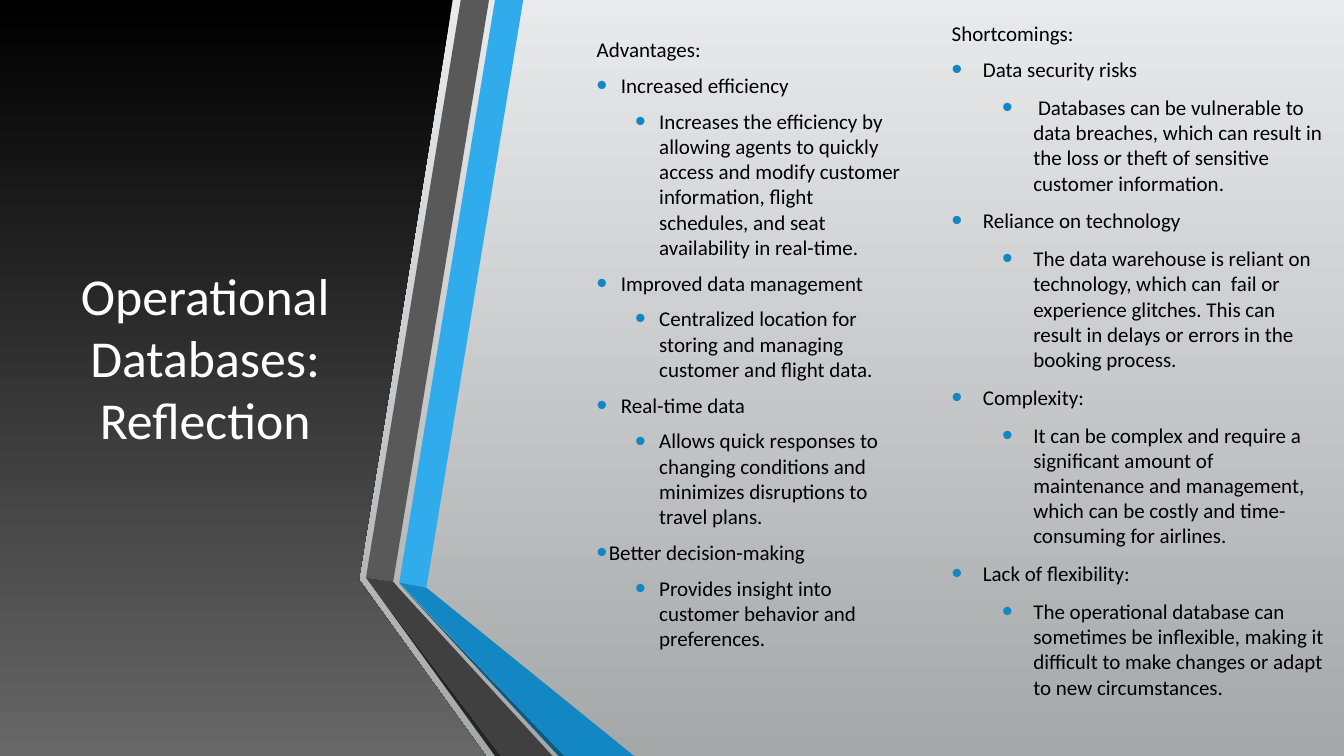
from dataclasses import dataclass

from lxml import etree
from pptx import Presentation
from pptx import util as u
from pptx.dml.color import RGBColor
from pptx.dml.fill import FillFormat
from pptx.enum import text
from pptx.oxml import ns
from pptx.slide import Slide
from pptx.text.text import TextFrame

Point = tuple[float, float]


@dataclass(frozen=True)
class Theme:
    font: str = "Calibri"
    title_size: float = 37
    body_size: float = 15
    title_color: str = "FFFFFF"
    body_color: str = "000000"
    bullet_color: str = "1287C3"
    bullet_percent: int = 145
    background: tuple[str, str] = ("E9EAEB", "A5A8A9")
    panel: tuple[str, str] = ("000000", "676767")
    blue: str = "30ACEC"
    blue_fold: str = "1287C3"
    blue_shade: str = "0C5A82"
    gray: str = "595959"
    gray_fold: str = "404040"
    gray_shade: str = "262626"


THEME = Theme()


@dataclass(frozen=True)
class Box:
    left: float
    top: float
    width: float
    height: float
    inset_top: float = 0.05
    inset_bottom: float = 0.05


@dataclass(frozen=True)
class Band:
    color: str
    points: list[Point]


@dataclass(frozen=True)
class Topic:
    heading: str
    detail: str
    margin: float | None = None


@dataclass(frozen=True)
class Column:
    box: Box
    title: str
    title_spacing: float
    hanging: float
    detail_margin: float
    space_after: float
    topics: list[Topic]


TITLE_BOX = Box(0.59, 0.75, 2.89, 5.58)
PANEL = [(0, 0), (4.49, 0), (3.56, 5.75), (4.82, 7.5), (0, 7.5)]
BANDS = [
    Band(THEME.blue, [(3.96, 5.78), (4.23, 5.83), (5.19, 0), (4.91, 0)]),
    Band(THEME.gray, [(4.85, 0), (4.57, 0), (3.63, 5.73), (3.9, 5.77)]),
    Band(THEME.gray_shade, [(3.63, 5.73), (4.91, 7.5), (4.97, 7.5)]),
    Band(THEME.blue_shade, [(3.96, 5.79), (5.54, 7.5), (5.6, 7.5)]),
    Band(THEME.blue_fold, [(3.96, 5.78), (5.6, 7.5), (6.29, 7.5), (4.23, 5.83)]),
    Band(THEME.gray_fold, [(5.48, 7.5), (3.95, 5.83), (3.9, 5.77), (3.63, 5.73), (4.97, 7.5)]),
]
COLUMNS = [
    Column(Box(5.82, 0.22, 3.24, 6.38), "Advantages:", 1.0, 0.24, 0.62, 4.6, [
        Topic("Increased efficiency",
              "Increases the efficiency by allowing agents to quickly access and modify customer "
              "information, flight schedules, and seat availability in real-time."),
        Topic("Improved data management",
              "Centralized location for storing and managing customer and flight data."),
        Topic("Real-time data",
              "Allows quick responses to changing conditions and minimizes disruptions to "
              "travel plans."),
        Topic("Better decision-making",
              "Provides insight into customer behavior and preferences.", margin=0.12),
    ]),
    Column(Box(9.34, 0.21, 3.91, 7.1, 0, 0.35), "Shortcomings:", 0.9, 0.31, 0.81, 6, [
        Topic("Data security risks",
              " Databases can be vulnerable to data breaches, which can result in the loss or "
              "theft of sensitive customer information."),
        Topic("Reliance on technology",
              "The data warehouse is reliant on technology, which can  fail or experience "
              "glitches. This can result in delays or errors in the booking process."),
        Topic("Complexity:",
              "It can be complex and require a significant amount of maintenance and "
              "management, which can be costly and time-consuming for airlines."),
        Topic("Lack of flexibility:",
              "The operational database can sometimes be inflexible, making it difficult to "
              "make changes or adapt to new circumstances."),
    ]),
]


def fill_downward(fill: FillFormat, colors: tuple[str, str]) -> None:
    """Apply a gradient that runs from the top colour to the bottom one."""
    fill.gradient()
    fill.gradient_angle = 270
    for stop, color in zip(fill.gradient_stops, colors):
        stop.color.rgb = RGBColor.from_string(color)


def add_outline(shapes, points: list[Point]):
    """Add a closed, unlined freeform through points given in inches."""
    corners = [(u.Inches(x), u.Inches(y)) for x, y in points]
    builder = shapes.build_freeform(*corners[0])
    builder.add_line_segments(corners[1:], close=True)
    shape = builder.convert_to_shape()
    shape.shadow.inherit = False
    shape.line.fill.background()
    return shape


def add_text_frame(slide: Slide, box: Box) -> TextFrame:
    lengths = (box.left, box.top, box.width, box.height)
    frame = slide.shapes.add_textbox(*map(u.Inches, lengths)).text_frame
    frame.word_wrap = True
    frame.vertical_anchor = text.MSO_ANCHOR.MIDDLE
    frame.margin_top = u.Inches(box.inset_top)
    frame.margin_bottom = u.Inches(box.inset_bottom)
    return frame


def format_runs(paragraph, size: float, color: str) -> None:
    for run in paragraph.runs:
        run.font.name = THEME.font
        run.font.size = u.Pt(size)
        run.font.color.rgb = RGBColor.from_string(color)


def add_bullet(paragraph, margin: float, hanging: float) -> None:
    properties = paragraph._p.get_or_add_pPr()
    properties.set("marL", str(u.Inches(margin)))
    properties.set("indent", str(-u.Inches(hanging)))
    color = etree.SubElement(properties, ns.qn("a:buClr"))
    etree.SubElement(color, ns.qn("a:srgbClr"), val=THEME.bullet_color)
    etree.SubElement(properties, ns.qn("a:buSzPct"), val=str(THEME.bullet_percent * 1000))
    etree.SubElement(properties, ns.qn("a:buFont"), typeface="Arial")
    etree.SubElement(properties, ns.qn("a:buChar"), char="•")


def format_body(paragraph, space_after: float) -> None:
    paragraph.space_before = u.Pt(THEME.body_size * 0.2)
    paragraph.space_after = u.Pt(space_after)
    format_runs(paragraph, THEME.body_size, THEME.body_color)


def add_title(slide: Slide) -> None:
    paragraph = add_text_frame(slide, TITLE_BOX).paragraphs[0]
    paragraph.text = "Operational Databases: Reflection"
    paragraph.alignment = text.PP_ALIGN.CENTER
    format_runs(paragraph, THEME.title_size, THEME.title_color)


def add_column(slide: Slide, column: Column) -> None:
    frame = add_text_frame(slide, column.box)
    title = frame.paragraphs[0]
    title.text = column.title
    title.line_spacing = column.title_spacing
    format_body(title, 4.6)
    for topic in column.topics:
        heading_margin = column.hanging if topic.margin is None else topic.margin
        entries = [(topic.heading, heading_margin), (topic.detail, column.detail_margin)]
        for level, (wording, margin) in enumerate(entries):
            paragraph = frame.add_paragraph()
            paragraph.text = wording
            paragraph.level = level
            format_body(paragraph, column.space_after)
            add_bullet(paragraph, margin, column.hanging)


def main() -> None:
    presentation = Presentation()
    presentation.slide_width = u.Inches(13.33)
    presentation.slide_height = u.Inches(7.5)
    slide = presentation.slides.add_slide(presentation.slide_layouts[6])
    fill_downward(slide.background.fill, THEME.background)
    fill_downward(add_outline(slide.shapes, PANEL).fill, THEME.panel)
    add_title(slide)
    ribbon = slide.shapes.add_group_shape()
    for band in BANDS:
        shape = add_outline(ribbon.shapes, band.points)
        shape.fill.solid()
        shape.fill.fore_color.rgb = RGBColor.from_string(band.color)
    for column in COLUMNS:
        add_column(slide, column)
    presentation.save("out.pptx")


if __name__ == "__main__":
    main()
